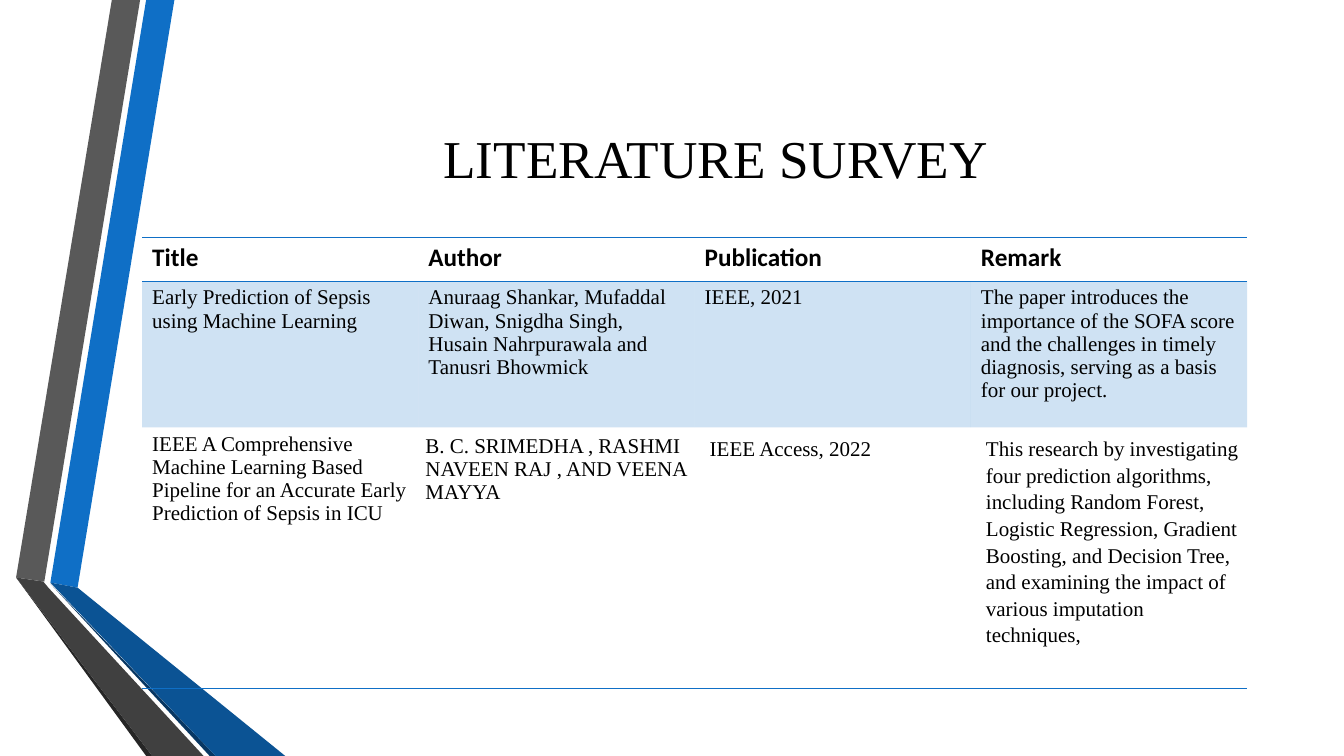
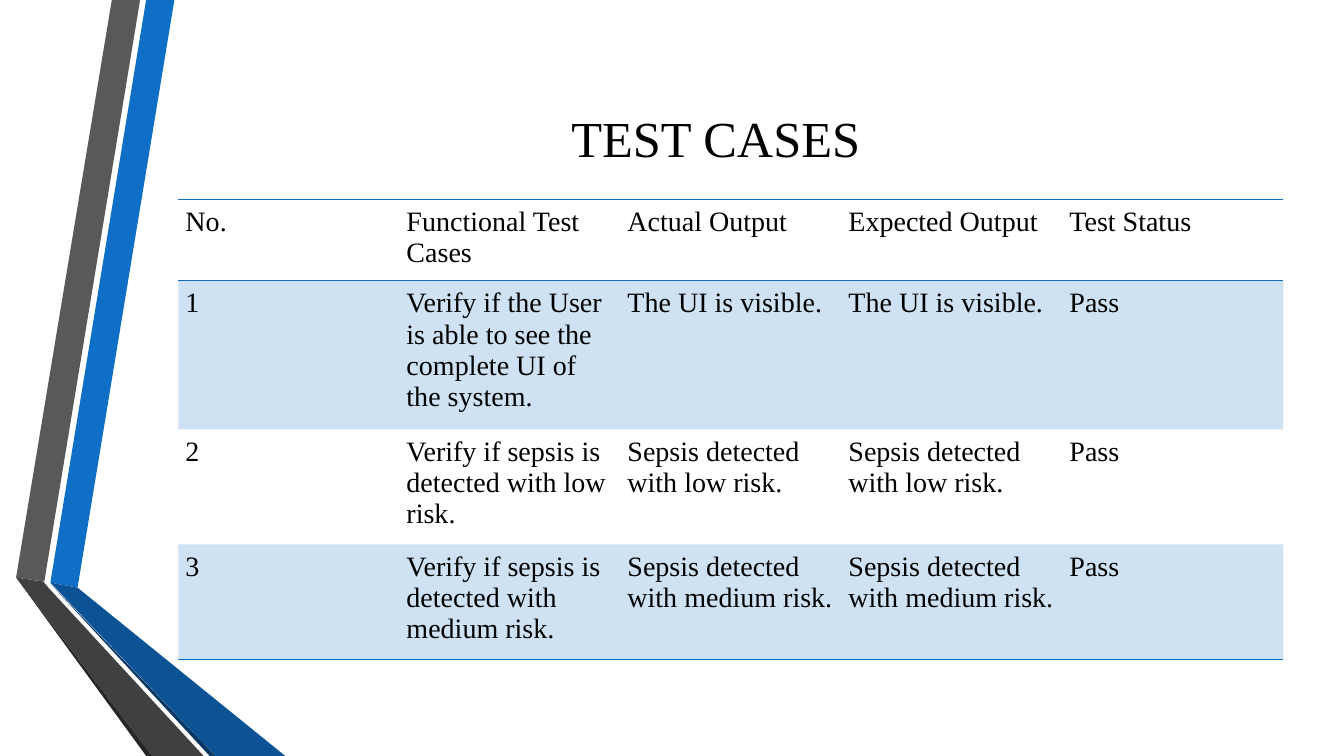
from dataclasses import dataclass

from lxml import etree
from pptx import Presentation
from pptx.dml.color import RGBColor
from pptx.enum.text import MSO_ANCHOR, PP_ALIGN
from pptx.oxml.ns import qn
from pptx.util import Pt

PX = 9144
MIDDLE = MSO_ANCHOR.MIDDLE
CENTER = PP_ALIGN.CENTER


@dataclass(frozen=True)
class Theme:
    blue: str = "0F6FC6"
    blue_dark: str = "0B5394"
    blue_shadow: str = "083763"
    gray: str = "595959"
    gray_dark: str = "404040"
    gray_shadow: str = "262626"
    text: str = "000000"
    tint_alpha: int = 20000
    rule_width: int = 12700
    serif: str = "Times New Roman"
    sans: str = "Calibri"
    survey_title: int = 38
    cases_title: int = 36
    header: int = 18
    survey_body: int = 15
    cases_body: int = 20


@dataclass(frozen=True)
class CellStyle:
    font: str
    size: int
    bold: bool = False
    inset_x: int = 10
    inset_y: int = 5
    indent: int = 0
    line_spacing: float = 1.0


THEME = Theme()
HEADER = CellStyle(THEME.sans, THEME.header, bold=True)
BODY = CellStyle(THEME.serif, THEME.survey_body)
TIGHT = CellStyle(THEME.serif, THEME.survey_body, inset_x=7, inset_y=7)
INDENTED = CellStyle(THEME.serif, THEME.survey_body, inset_x=7, inset_y=7,
                     indent=8, line_spacing=1.15)
CASE = CellStyle(THEME.serif, THEME.cases_body, inset_x=7, inset_y=7)

SLIDE_BOX = (0, 0, 1333, 750)

BANDS = [
    (THEME.blue, [(50, 578), (77, 583), (173, 0), (145, 0)]),
    (THEME.gray, [(139, 0), (111, 0), (16, 573), (44, 577)]),
    (THEME.gray_shadow, [(16, 573), (145, 750), (151, 750)]),
    (THEME.blue_shadow, [(50, 579), (208, 750), (214, 750)]),
    (THEME.blue_dark, [(50, 578), (214, 750), (283, 750), (77, 583)]),
    (THEME.gray_dark, [(202, 750), (48, 583), (43, 577), (16, 573), (151, 750)]),
]

SURVEY_ROWS = [
    ["Title", "Author", "Publication", "Remark"],
    [
        "Early Prediction of Sepsis using Machine Learning",
        "Anuraag Shankar, Mufaddal Diwan, Snigdha Singh, "
        "Husain Nahrpurawala and Tanusri Bhowmick",
        "IEEE, 2021",
        "The paper introduces the importance of the SOFA score and the challenges "
        "in timely diagnosis, serving as a basis for our project.",
    ],
    [
        "IEEE A Comprehensive Machine Learning Based Pipeline for an Accurate "
        "Early Prediction of Sepsis in ICU",
        "B. C. SRIMEDHA , RASHMI NAVEEN RAJ , AND VEENA MAYYA",
        "IEEE Access, 2022",
        "This research by investigating four prediction algorithms, including "
        "Random Forest, Logistic Regression, Gradient Boosting, and Decision Tree, "
        "and examining the impact of various imputation techniques,",
    ],
]
SURVEY_STYLES = [[HEADER] * 4, [BODY] * 4, [BODY, TIGHT, INDENTED, INDENTED]]

CASE_ROWS = [
    ["No.", "Functional Test Cases", "Actual Output", "Expected Output", "Test Status"],
    ["1", "Verify if the User is able to see the complete UI of the system.",
     "The UI is visible.", "The UI is visible.", "Pass"],
    ["2", "Verify if sepsis is detected with low risk.",
     "Sepsis detected with low risk.", "Sepsis detected with low risk.", "Pass"],
    ["3", "Verify if sepsis is detected with medium risk.",
     "Sepsis detected with medium risk.", "Sepsis detected with medium risk.", "Pass"],
]
CASE_STYLES = [[CASE] * 5] * 4


def color(value):
    return RGBColor.from_string(value)


def to_emu(box):
    return [length * PX for length in box]


def add_run(paragraph, text, font, size, bold=False):
    run = paragraph.add_run()
    run.text = text
    run.font.name = font
    run.font.size = Pt(size)
    run.font.bold = bold
    run.font.color.rgb = color(THEME.text)


def add_bands(slide, box):
    left, top = to_emu(box[:2])
    for fill, points in BANDS:
        builder = slide.shapes.build_freeform(*points[0], scale=PX)
        builder.add_line_segments(points[1:], close=True)
        shape = builder.convert_to_shape(left, top)
        shape.shadow.inherit = False
        shape.fill.solid()
        shape.fill.fore_color.rgb = color(fill)
        shape.line.fill.background()


def add_title(slide, box, text, size):
    frame = slide.shapes.add_textbox(*to_emu(box)).text_frame
    frame.word_wrap = True
    frame.vertical_anchor = MIDDLE
    paragraph = frame.paragraphs[0]
    paragraph.alignment = CENTER
    add_run(paragraph, text, THEME.serif, size)


def set_borders(cell, top, bottom):
    properties = cell._tc.get_or_add_tcPr()
    for side, visible in (("L", False), ("R", False), ("T", top), ("B", bottom)):
        line = etree.SubElement(properties, qn(f"a:ln{side}"), w=str(THEME.rule_width))
        if visible:
            fill = etree.SubElement(line, qn("a:solidFill"))
            etree.SubElement(fill, qn("a:srgbClr"), val=THEME.blue)
        else:
            etree.SubElement(line, qn("a:noFill"))


def set_tint(cell, shaded):
    if not shaded:
        cell.fill.background()
        return
    cell.fill.solid()
    cell.fill.fore_color.rgb = color(THEME.blue)
    fill = cell._tc.tcPr.find(qn("a:solidFill"))
    etree.SubElement(fill[0], qn("a:alpha"), val=str(THEME.tint_alpha))


def fill_cell(cell, text, style):
    cell.margin_left = cell.margin_right = style.inset_x * PX
    cell.margin_top = cell.margin_bottom = style.inset_y * PX
    paragraph = cell.text_frame.paragraphs[0]
    if style.indent:
        paragraph._p.get_or_add_pPr().set("marL", str(style.indent * PX))
    paragraph.line_spacing = style.line_spacing
    add_run(paragraph, text, style.font, style.size, style.bold)


def add_ruled_table(slide, box, rows, styles, heights):
    frame = slide.shapes.add_table(len(rows), len(rows[0]), *to_emu(box))
    table = frame.table
    table.first_row = False
    table.horz_banding = False
    ruled = (0, 1, len(rows))
    for row, (texts, row_styles, height) in enumerate(zip(rows, styles, heights)):
        table.rows[row].height = height * PX
        for column, (text, style) in enumerate(zip(texts, row_styles)):
            cell = table.cell(row, column)
            set_borders(cell, row in ruled, row + 1 in ruled)
            set_tint(cell, row % 2 == 1)
            fill_cell(cell, text, style)


def add_table_slide(presentation, title, title_size, title_box,
                    table_left, rows, styles, heights):
    slide = presentation.slides.add_slide(presentation.slide_layouts[6])
    add_bands(slide, SLIDE_BOX)
    add_title(slide, title_box, title, title_size)
    left, top, width, height = title_box
    table_box = (table_left, top + height, width, sum(heights))
    add_ruled_table(slide, table_box, rows, styles, heights)


def main():
    presentation = Presentation()
    presentation.slide_width, presentation.slide_height = to_emu(SLIDE_BOX[2:])
    add_table_slide(presentation, "LITERATURE SURVEY", THEME.survey_title,
                    (162, 75, 1096, 161), 141,
                    SURVEY_ROWS, SURVEY_STYLES, [43, 145, 259])
    add_table_slide(presentation, "TEST CASES", THEME.cases_title,
                    (162, 75, 1096, 123), 177,
                    CASE_ROWS, CASE_STYLES, [76, 137, 106, 106])
    presentation.save("out.pptx")


if __name__ == "__main__":
    main()
